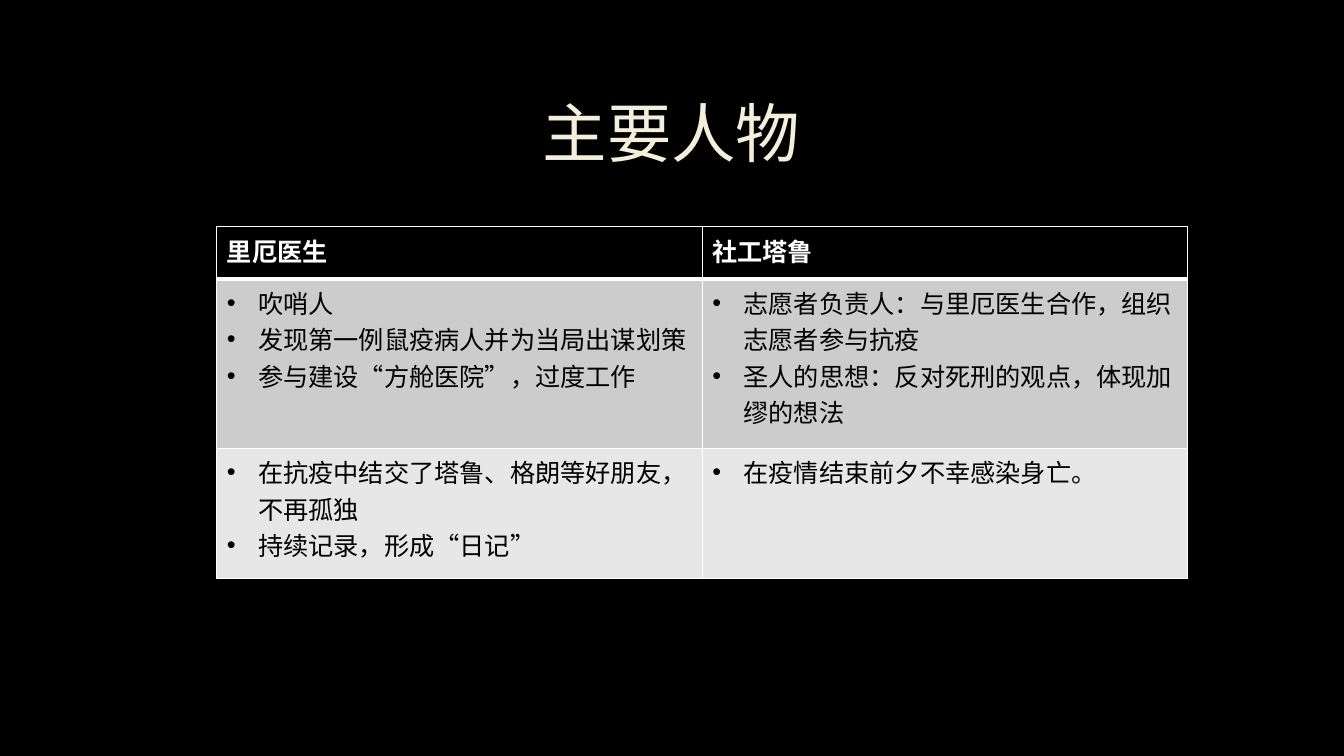
from lxml import etree
from pptx import Presentation
from pptx.dml import color
from pptx.enum import text
from pptx.oxml import ns
from pptx.util import Inches, Pt

FONT = "Times New Roman"
HEADERS = ["里厄医生", "社工塔鲁"]
BODY_ROWS = [
    [
        ["吹哨人", "发现第一例鼠疫病人并为当局出谋划策", "参与建设“方舱医院”，过度工作"],
        ["志愿者负责人：与里厄医生合作，组织志愿者参与抗疫", "圣人的思想：反对死刑的观点，体现加缪的想法"],
    ],
    [
        ["在抗疫中结交了塔鲁、格朗等好朋友，不再孤独", "持续记录，形成“日记”"],
        ["在疫情结束前夕不幸感染身亡。"],
    ],
]
ROW_HEIGHTS = [0.52, 1.68, 1.29]
ROW_FILLS = ["000000", "CCCCCC", "E7E7E7"]


def paint(fill, value):
    fill.solid()
    fill.fore_color.rgb = color.RGBColor.from_string(value)


def style_font(paragraph, size, value, bold=False):
    font = paragraph.font
    font.name = FONT
    font.size = Pt(size)
    font.bold = bold
    paint(font.fill, value)


def make_line(tag, points, value, opacity=100):
    line = etree.Element(ns.qn(tag), w=str(Pt(points)))
    solid = etree.SubElement(line, ns.qn("a:solidFill"))
    tone = etree.SubElement(solid, ns.qn("a:srgbClr"), val=value)
    if opacity < 100:
        etree.SubElement(tone, ns.qn("a:alpha"), val=str(opacity * 1000))
    return line


def add_borders(cell, top, bottom):
    properties = cell._tc.get_or_add_tcPr()
    widths = {"a:lnL": 1, "a:lnR": 1, "a:lnT": top, "a:lnB": bottom}
    for index, (tag, points) in enumerate(widths.items()):
        properties.insert(index, make_line(tag, points, "FFFFFF"))


def add_bullet(paragraph):
    properties = paragraph._p.get_or_add_pPr()
    properties.set("marL", str(Inches(0.31)))
    properties.set("indent", str(-Inches(0.31)))
    bullet_font = etree.Element(ns.qn("a:buFont"), typeface="Arial")
    bullet = etree.Element(ns.qn("a:buChar"), char="•")
    properties.insert(0, bullet_font)
    properties.insert(1, bullet)


def fill_title(page, left, top, width, height):
    title = page.shapes.title
    title.left, title.top = Inches(left), Inches(top)
    title.width, title.height = Inches(width), Inches(height)
    frame = title.text_frame
    frame.text = "主要人物"
    frame.vertical_anchor = text.MSO_ANCHOR.MIDDLE
    paragraph = frame.paragraphs[0]
    paragraph.alignment = text.PP_ALIGN.CENTER
    paragraph.line_spacing = 0.9
    style_font(paragraph, 46, "F4EEDC")
    outline = make_line("a:ln", 0.75, "404040", opacity=10)
    paragraph.runs[0]._r.get_or_add_rPr().insert(0, outline)


def add_character_table(page, left, top, width):
    rows = [[[header] for header in HEADERS]] + BODY_ROWS
    frame = page.shapes.add_table(
        len(rows), len(HEADERS), Inches(left), Inches(top), Inches(width), Inches(sum(ROW_HEIGHTS))
    )
    table = frame.table
    for column in table.columns:
        column.width = Inches(width / len(HEADERS))
    for row_index, row in enumerate(rows):
        table.rows[row_index].height = Inches(ROW_HEIGHTS[row_index])
        is_header = row_index == 0
        for column_index, lines in enumerate(row):
            cell = table.cell(row_index, column_index)
            cell.text = "\n".join(lines)
            paint(cell.fill, ROW_FILLS[row_index])
            add_borders(cell, top=3 if row_index == 1 else 1, bottom=3 if is_header else 1)
            for paragraph in cell.text_frame.paragraphs:
                style_font(paragraph, 18, "FFFFFF" if is_header else "000000", is_header)
                if not is_header:
                    add_bullet(paragraph)


def main():
    deck = Presentation()
    deck.slide_width, deck.slide_height = Inches(13.33), Inches(7.5)
    page = deck.slides.add_slide(deck.slide_layouts.get_by_name("Title Only"))
    paint(page.background.fill, "000000")
    fill_title(page, 1, 0.67, 11.32, 1.38)
    add_character_table(page, 2.15, 2.25, 9.63)
    deck.save("out.pptx")


if __name__ == "__main__":
    main()
